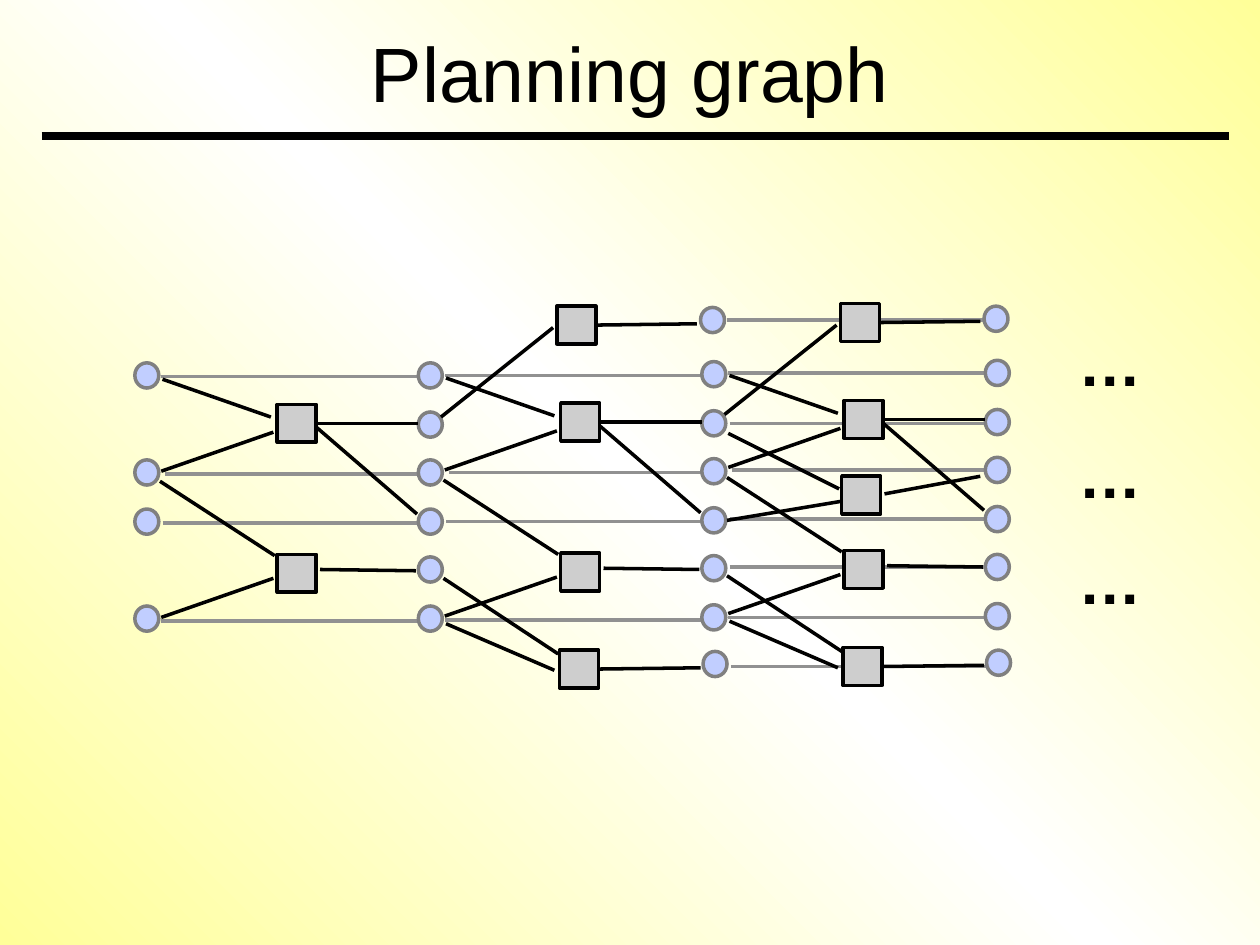
from copy import deepcopy

from lxml.etree import SubElement
from pptx import Presentation
from pptx.dml.color import RGBColor
from pptx.enum.shapes import MSO_CONNECTOR, MSO_SHAPE
from pptx.enum.text import MSO_ANCHOR, MSO_AUTO_SIZE, PP_ALIGN
from pptx.oxml.ns import qn
from pptx.util import Inches, Pt

COLUMNS = 10
STAGE_WIDTH = 2.25
STAGE_DROP = (0, -0.01, -0.03)
LAYER_DROP = (0, 0, -0.01, -0.02)
LAYER_LEFT = 1.07

# Propositions: (column offset, row, first layer that holds it)
PROPOSITIONS = [(0, 2.88, 0), (0, 3.27, 1), (0, 3.65, 0), (0, 4.04, 0),
                (0, 4.42, 1), (0, 4.81, 0), (-0.01, 2.45, 2), (0.01, 5.18, 2)]

# All below are given in the first stage's place, led by the first stage to use them.
PERSISTENCE = [(0, 1.28, 2.99), (0, 1.31, 3.76), (0, 1.29, 4.15), (0, 1.28, 4.93),
               (2, 1.27, 2.57), (2, 1.30, 5.32), (2, 1.29, 4.53), (2, 1.29, 3.39)]
PERSISTENCE_LENGTH = 2.03

# Actions: first stage, left, top, end of the edge that leaves the right side
ACTIONS = [(0, 2.2, 3.21, (3.32, 3.36)), (0, 2.2, 4.4, None),
           (1, 2.19, 5.17, (3.31, 5.31)), (1, 2.17, 2.44, (3.28, 2.58)),
           (2, 2.18, 3.81, None)]

EDGES = [(0, (1.28, 3.74), (2.17, 3.43)), (0, (1.29, 3.01), (2.15, 3.31)),
         (0, (1.28, 4.90), (2.17, 4.59)), (0, (1.27, 3.82), (2.18, 4.41)),
         (0, (2.54, 4.52), (3.30, 4.53)), (0, (2.51, 3.39), (3.31, 4.08)),
         (1, (1.27, 4.60), (2.18, 5.20)), (1, (1.29, 4.96), (2.15, 5.33)),
         (1, (1.25, 3.32), (2.14, 2.61)), (2, (1.27, 4.16), (2.17, 4.01)),
         (2, (1.28, 3.47), (2.16, 3.91)), (2, (2.52, 3.95), (3.28, 3.81))]


def rgb(color):
    return RGBColor.from_string(color)


class Deck:
    """Style and current slide; lengths are columns and rows of a square grid."""
    font, ink, grey = "Arial", "000000", "919191"

    def __init__(self):
        self.prs = Presentation()
        self.prs.slide_width, self.prs.slide_height = Inches(10), Inches(7.5)
        self.cell = self.prs.slide_width / COLUMNS
        self.s = self.prs.slides.add_slide(self.prs.slide_layouts[5])

    def grid(self, *cells):
        return [round(c * self.cell) for c in cells]

    def background(self, *colors):
        fill = self.s.background.fill
        fill.gradient()
        fill.gradient_angle = 45
        stops = next(self.s.element.iter(qn("a:gsLst")))
        while len(stops) < len(colors):
            stops.append(deepcopy(stops[0]))
        for i, (stop, color) in enumerate(zip(fill.gradient_stops, colors)):
            stop.color.rgb = rgb(color)
            stop.position = i / (len(colors) - 1)

    def set_text(self, sp, text, size, bold=False):
        tf = sp.text_frame
        tf.text = text
        r = tf.paragraphs[0].runs[0]
        r.font.name, r.font.size, r.font.bold = self.font, Pt(size), bold
        r.font.color.rgb = rgb(self.ink)
        return tf

    def title(self, text, *box):
        sp = self.s.shapes.title
        sp.left, sp.top, sp.width, sp.height = self.grid(*box)
        tf = self.set_text(sp, text, 44)
        tf.vertical_anchor = MSO_ANCHOR.MIDDLE
        tf.paragraphs[0].alignment = PP_ALIGN.CENTER

    def label(self, text, *box):
        sp = self.s.shapes.add_textbox(*self.grid(*box))
        tf = self.set_text(sp, text, 36, True)
        tf.word_wrap = False
        tf.auto_size = MSO_AUTO_SIZE.SHAPE_TO_FIT_TEXT

    def line(self, start, end, color=ink, width=2):
        c = self.s.shapes.add_connector(MSO_CONNECTOR.STRAIGHT, *self.grid(*start, *end))
        c.line.color.rgb, c.line.width = rgb(color), Pt(width)
        SubElement(c.element.spPr, qn("a:effectLst"))
        return c

    def node(self, kind, fill, outline, *box):
        sp = self.s.shapes.add_shape(kind, *self.grid(*box))
        sp.shadow.inherit = False
        sp.fill.solid()
        sp.fill.fore_color.rgb = rgb(fill)
        sp.line.color.rgb, sp.line.width = rgb(outline), Pt(2)
        return sp

    def proposition(self, x, y):
        self.node(MSO_SHAPE.OVAL, "C1CEFF", "808080", x, y, 0.19, 0.2)

    def action(self, x, y):
        return self.node(MSO_SHAPE.RECTANGLE, "CECECE", self.ink, x, y, 0.31, 0.3)


def in_stage(stage, x, y):
    """Move a point of the first stage to the same place in another stage."""
    return x + stage * STAGE_WIDTH, y + STAGE_DROP[stage]


def each_stage(items):
    """Yield every item once for each stage from its first one on."""
    for stage in range(len(STAGE_DROP)):
        for first, *item in items:
            if first <= stage:
                yield stage, *item


def main():
    deck = Deck()
    deck.background("FFFF99", "FFFFFF", "FFFF99")
    deck.line((0.33, 1.08), (9.75, 1.08), width=4.5)
    deck.title("Planning graph", 0.5, 0.17, 9, 0.8)

    for stage, x, y in each_stage(PERSISTENCE):
        deck.line(in_stage(stage, x, y), in_stage(stage, x + PERSISTENCE_LENGTH, y), deck.grey)
    for layer, drop in enumerate(LAYER_DROP):
        for offset, y, first in PROPOSITIONS:
            if first <= layer:
                deck.proposition(LAYER_LEFT + layer * STAGE_WIDTH + offset, y + drop)
    for stage, x, y, effect in each_stage(ACTIONS):
        sp = deck.action(*in_stage(stage, x, y))
        if effect:
            end = in_stage(stage, *effect)
            deck.line(end, end).begin_connect(sp, 3)
    for stage, start, end in each_stage(EDGES):
        deck.line(in_stage(stage, *start), in_stage(stage, *end))

    for y in (2.52, 3.41, 4.25):
        deck.label("…", 8.46, y, 0.7, 0.7)
    deck.prs.save("out.pptx")


if __name__ == "__main__":
    main()
